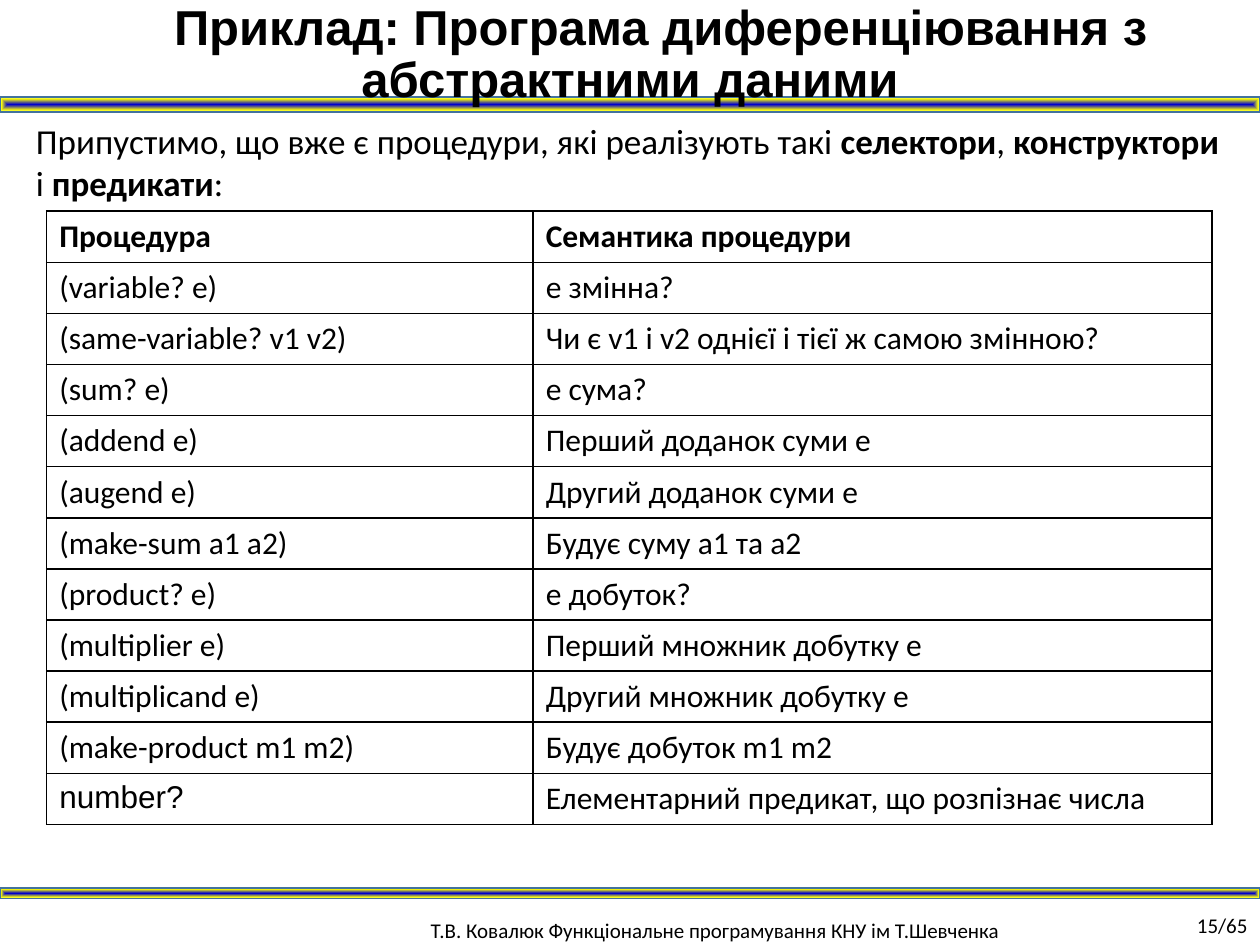
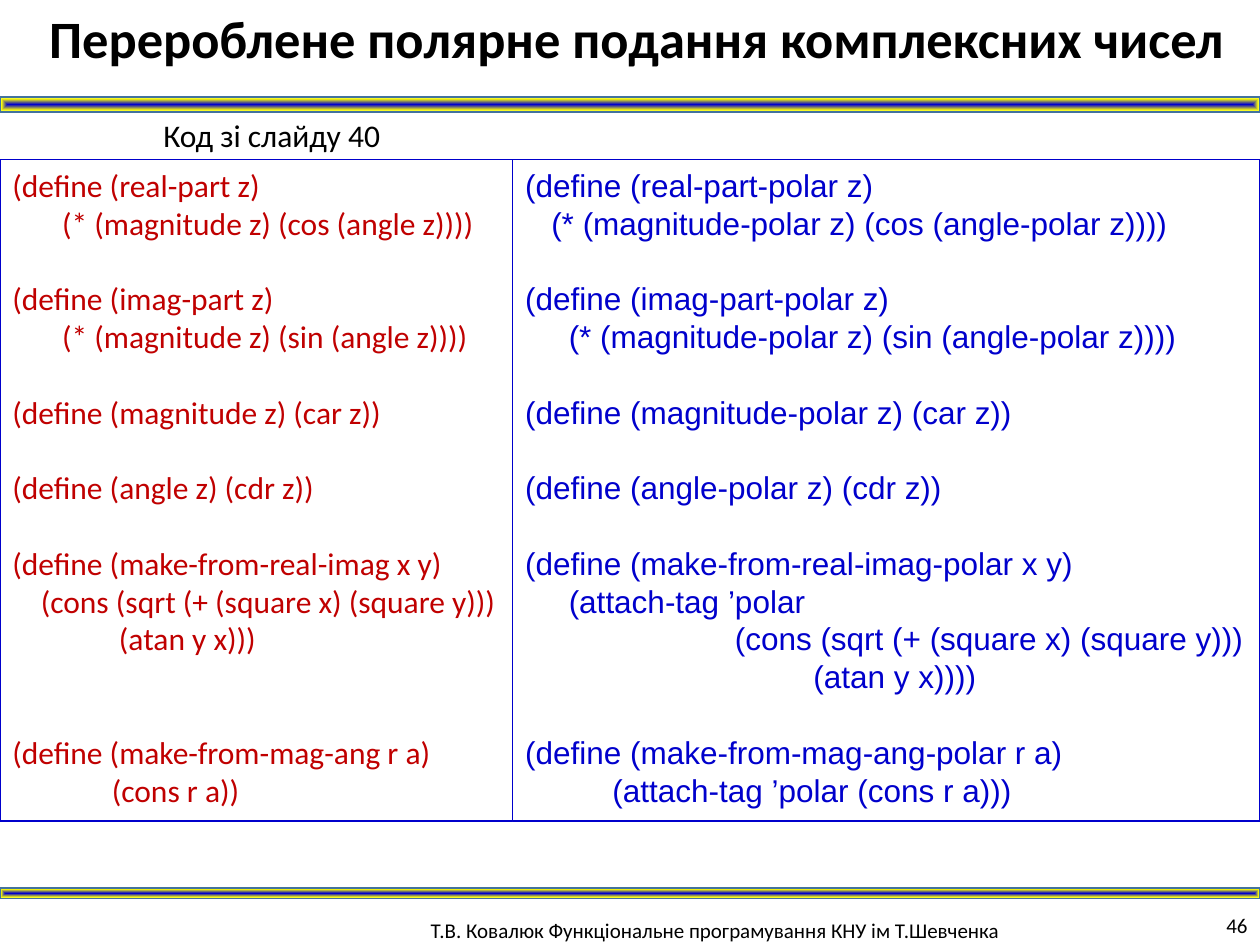
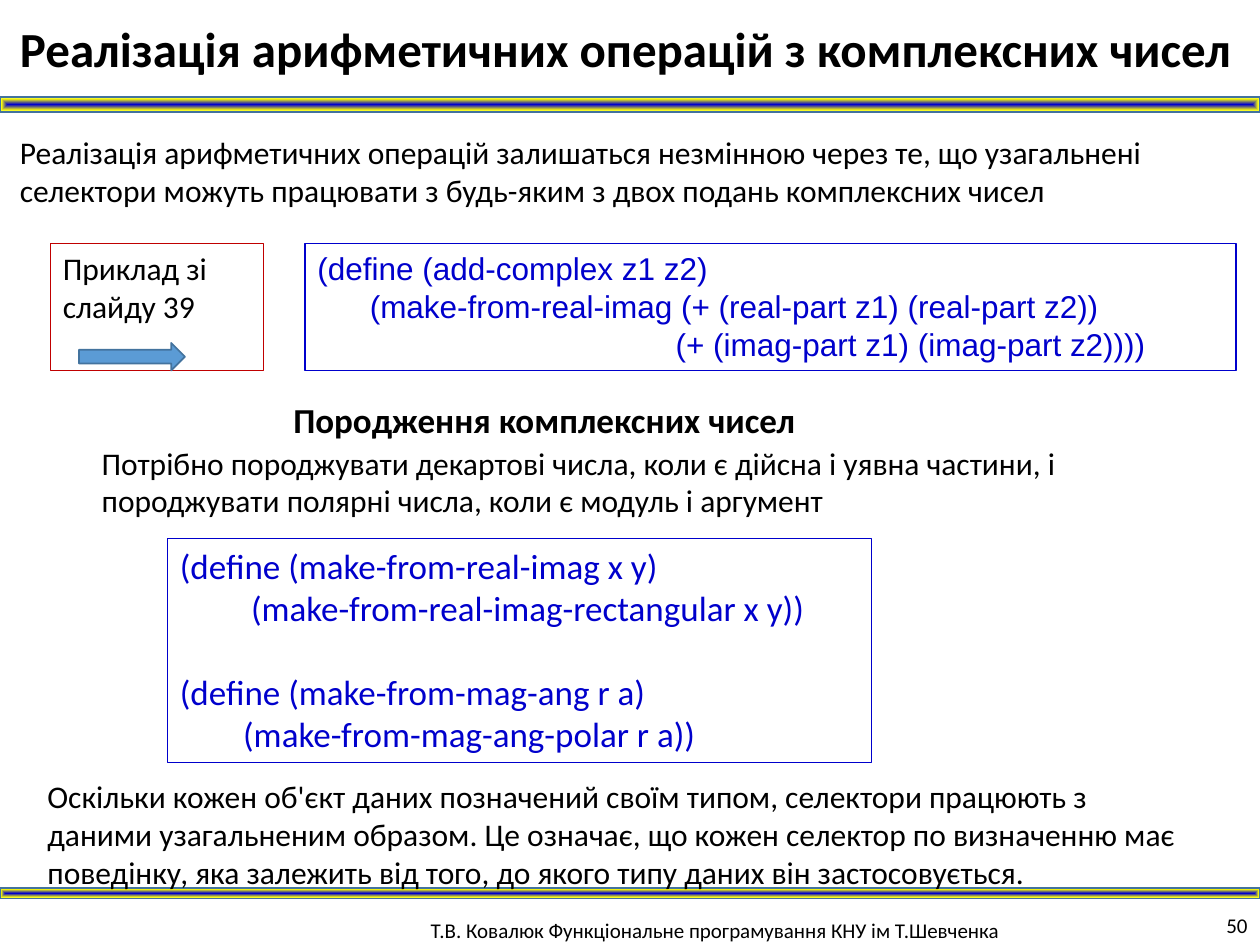
from dataclasses import dataclass

from lxml import etree
from pptx import Presentation
from pptx import util as u
from pptx.dml.color import RGBColor
from pptx.enum import shapes, text
from pptx.oxml import ns

Pt = u.Pt


@dataclass(frozen=True)
class Theme:
    ink: str = "000000"
    blue: str = "0000CC"
    red: str = "C00000"
    yellow: str = "FFFF00"
    pale: str = "CEE1F2"
    arrow: str = "5B9BD5"
    edge: str = "43739E"
    sans: str = "Calibri"
    alt: str = "Arial"
    small: int = 12
    body: int = 18
    lead: int = 20
    title: int = 28
    large: int = 30
    leading: float = 1.2


T = Theme()
WIDTH, HEIGHT = 720, 540
BANDS = [(55.5, 8.5), (507.5, 6)]
FOOTER = "Т.В. Ковалюк Функціональне програмування КНУ ім Т.Шевченка"
FOOTER_BOX = (239, 520.5, 432, 23)
NUMBER_BOX = (670.5, 517, 49.5, 23)

INTRO = [
    ("Припустимо, що вже є процедури, які реалізують такі ", False),
    ("селектори", True), (", ", False), ("конструктори", True),
    (" і ", False), ("предикати", True), (":", False),
]
PROCEDURES = [
    ("Процедура", "Семантика процедури"),
    ("(variable? e)", "е змінна?"),
    ("(same-variable? v1 v2)", "Чи є v1 і v2 однієї і тієї ж самою змінною?"),
    ("(sum? e)", "е сума?"),
    ("(addend e)", "Перший доданок суми e"),
    ("(augend e)", "Другий доданок суми e"),
    ("(make-sum a1 a2)", "Будує суму a1 та a2"),
    ("(product? e)", "е добуток?"),
    ("(multiplier e)", "Перший множник добутку e"),
    ("(multiplicand e)", "Другий множник добутку e"),
    ("(make-product m1 m2)", "Будує добуток m1 m2"),
    ("number?", "Елементарний предикат, що розпізнає числа"),
]
PLAIN_CODE = """\
(define (real-part z)
       (* (magnitude z) (cos (angle z))))

(define (imag-part z)
       (* (magnitude z) (sin (angle z))))

(define (magnitude z) (car z))

(define (angle z) (cdr z))

(define (make-from-real-imag x y)
    (cons (sqrt (+ (square x) (square y)))
               (atan y x)))


(define (make-from-mag-ang r a)
              (cons r a))"""
POLAR_CODE = """\
(define (real-part-polar z)
   (* (magnitude-polar z) (cos (angle-polar z))))

(define (imag-part-polar z)
     (* (magnitude-polar z) (sin (angle-polar z))))

(define (magnitude-polar z) (car z))

(define (angle-polar z) (cdr z))

(define (make-from-real-imag-polar x y)
     (attach-tag ’polar
                        (cons (sqrt (+ (square x) (square y)))
                                 (atan y x))))

(define (make-from-mag-ang-polar r a)
          (attach-tag ’polar (cons r a)))"""
ADD_CODE = """\
(define (add-complex z1 z2)
      (make-from-real-imag (+ (real-part z1) (real-part z2))
                                         (+ (imag-part z1) (imag-part z2))))"""
MAKE_CODE = """\
(define (make-from-real-imag x y)
         (make-from-real-imag-rectangular x y))

(define (make-from-mag-ang r a)
        (make-from-mag-ang-polar r a))"""
UNCHANGED = ("Реалізація арифметичних операцій залишаться незмінною через те, що узагальнені "
             "селектори можуть працювати з будь-яким з двох подань комплексних чисел")
CREATION = ["Потрібно породжувати декартові числа, коли є дійсна і уявна частини, і",
            "породжувати полярні числа, коли є модуль і аргумент"]
TAGGED = ("Оскільки кожен об'єкт даних позначений своїм типом, селектори працюють з даними "
          "узагальненим образом. Це означає, що кожен селектор по визначенню має поведінку, "
          "яка залежить від того, до якого типу даних він застосовується.")


def apply(obj, values):
    for name, value in values.items():
        setattr(obj, name, value)


def add_run(p, content, size=T.body, font=T.sans, color=T.ink, bold=False):
    r = p.add_run()
    r.text = content
    apply(r.font, {"size": Pt(size), "name": font, "bold": bold})
    r.font.color.rgb = RGBColor.from_string(color)


def fill_text(tf, paragraphs, align=text.PP_ALIGN.LEFT, **style):
    for i, content in enumerate(paragraphs):
        p = tf.paragraphs[0] if i == 0 else tf.add_paragraph()
        p.alignment = align
        runs = [(content, style.get("bold", False))] if isinstance(content, str) else content
        for words, bold in runs:
            add_run(p, words, **{**style, "bold": bold})


def add_text(s, box, *paragraphs, wrap=True, anchor=text.MSO_ANCHOR.TOP, **style):
    tf = s.shapes.add_textbox(*map(Pt, box)).text_frame
    apply(tf, {"word_wrap": wrap, "vertical_anchor": anchor})
    fill_text(tf, paragraphs, **style)
    return tf


def add_shape(s, box, line, width=1, fill=None, kind=shapes.MSO_SHAPE.RECTANGLE):
    sp = s.shapes.add_shape(kind, *map(Pt, box))
    sp.shadow.inherit = False
    sp.line.width = Pt(width)
    sp.line.color.rgb = RGBColor.from_string(line)
    if fill:
        sp.fill.solid()
        sp.fill.fore_color.rgb = RGBColor.from_string(fill)
    else:
        sp.fill.background()
    return sp


def add_frame(s, box, paragraphs, line=T.blue, **style):
    tf = add_shape(s, box, line, 0.75).text_frame
    apply(tf, {"word_wrap": True, "vertical_anchor": text.MSO_ANCHOR.TOP})
    fill_text(tf, paragraphs, **style)
    return tf


def add_code(s, box, code, size=T.body, color=T.blue, **style):
    lines = code.split("\n")
    tf = add_frame(s, box, [line for line in lines if line], size=size, color=color, **style)
    step, blanks, rest = size * T.leading, 0, iter(tf.paragraphs)
    for line in lines:
        if not line:
            blanks += 1
            continue
        apply(next(rest), {"line_spacing": Pt(step), "space_before": Pt(blanks * step)})
        blanks = 0


def add_band(s, top, height):
    sp = add_shape(s, (0, top, WIDTH, height), T.edge)
    stops = "".join(f'<a:gs pos="{pos}000"><a:srgbClr val="{color}"/></a:gs>'
                    for pos, color in [(0, T.blue), (77, T.yellow), (100, T.pale)])
    grad = etree.fromstring(
        f'<a:gradFill {ns.nsdecls("a")} rotWithShape="1"><a:gsLst>{stops}</a:gsLst>'
        '<a:path path="shape"><a:fillToRect l="50000" t="50000" r="50000" b="50000"/></a:path>'
        '</a:gradFill>')
    blank = sp.element.spPr.find(ns.qn("a:noFill"))
    blank.getparent().replace(blank, grad)


def add_slide(prs, number):
    s = prs.slides.add_slide(prs.slide_layouts[6])
    add_text(s, FOOTER_BOX, FOOTER, size=T.small)
    for top, height in BANDS:
        add_band(s, top, height)
    add_text(s, NUMBER_BOX, number, size=T.small, align=text.PP_ALIGN.RIGHT,
             anchor=text.MSO_ANCHOR.MIDDLE)
    return s


def add_grid(s, left, top, widths, row_height, rows):
    table = s.shapes.add_table(len(rows), len(widths), Pt(left), Pt(top), Pt(sum(widths)),
                               Pt(row_height * len(rows))).table
    apply(table, {"first_row": False, "horz_banding": False})
    for column, width in zip(table.columns, widths):
        column.width = Pt(width)
    for i, row in enumerate(rows):
        table.rows[i].height = Pt(row_height)
        for j, content in enumerate(row):
            cell = table.cell(i, j)
            fill_text(cell.text_frame, [content], bold=i == 0,
                      font=T.alt if content == "number?" else T.sans)
            props = cell._tc.get_or_add_tcPr()
            for side in "LRTB":
                props.append(etree.fromstring(
                    f'<a:ln{side} {ns.nsdecls("a")} w="{Pt(1)}"><a:solidFill>'
                    f'<a:srgbClr val="{T.ink}"/></a:solidFill></a:ln{side}>'))
            cell.fill.background()


def procedures_slide(prs):
    s = add_slide(prs, "15/65")
    tf = add_text(s, (0, -2, WIDTH, 68), "Приклад: Програма диференціювання з абстрактними даними",
                  size=T.title, font=T.alt, bold=True, align=text.PP_ALIGN.CENTER)
    p = tf.paragraphs[0]
    p.line_spacing = 0.9
    p._p.get_or_add_pPr().set("indent", str(Pt(35)))
    add_text(s, (13.5, 65, 693, 55), INTRO, size=T.lead)
    add_grid(s, 26.7, 120.7, (278, 388), 29.22, PROCEDURES)


def polar_slide(prs):
    s = add_slide(prs, "46")
    add_text(s, (0, 0, 728, 44), "Перероблене полярне подання комплексних чисел",
             size=T.large, bold=True, align=text.PP_ALIGN.CENTER)
    split, top, height = 293, 91.2, 378
    add_code(s, (split, top, WIDTH - split, height), POLAR_CODE, font=T.alt)
    add_code(s, (0, top, split, height), PLAIN_CODE, color=T.red)
    add_text(s, (86.2, 62.5, 140, 29), "Код зі слайду 40", wrap=False)


def arithmetic_slide(prs):
    s = add_slide(prs, "50")
    add_text(s, (4.3, 7.2, 715, 41), "Реалізація арифметичних операцій з комплексних чисел",
             wrap=False, size=T.title, bold=True)
    add_text(s, (4.3, 72.7, 715.7, 51), UNCHANGED)
    row_top, row_height = 139, 72.7
    add_frame(s, (28.8, row_top, 121.7, row_height), ["Приклад зі слайду 39"], line=T.red)
    add_shape(s, (45.2, 196, 60.5, 15.7), T.edge, fill=T.arrow,
              kind=shapes.MSO_SHAPE.RIGHT_ARROW)
    add_code(s, (174.3, row_top, 532, row_height), ADD_CODE, font=T.alt)
    add_text(s, (160.5, 224, 303, 31.5), "Породження комплексних чисел",
             wrap=False, size=T.lead, bold=True)
    add_text(s, (51, 250, 575, 51), *CREATION)
    add_code(s, (95.7, 307.6, 402.5, 128), MAKE_CODE, size=T.lead)
    add_text(s, (20, 440.7, 666, 72.7), TAGGED)


def main():
    prs = Presentation()
    apply(prs, {"slide_width": Pt(WIDTH), "slide_height": Pt(HEIGHT)})
    for build in (procedures_slide, polar_slide, arithmetic_slide):
        build(prs)
    prs.save("out.pptx")


if __name__ == "__main__":
    main()
